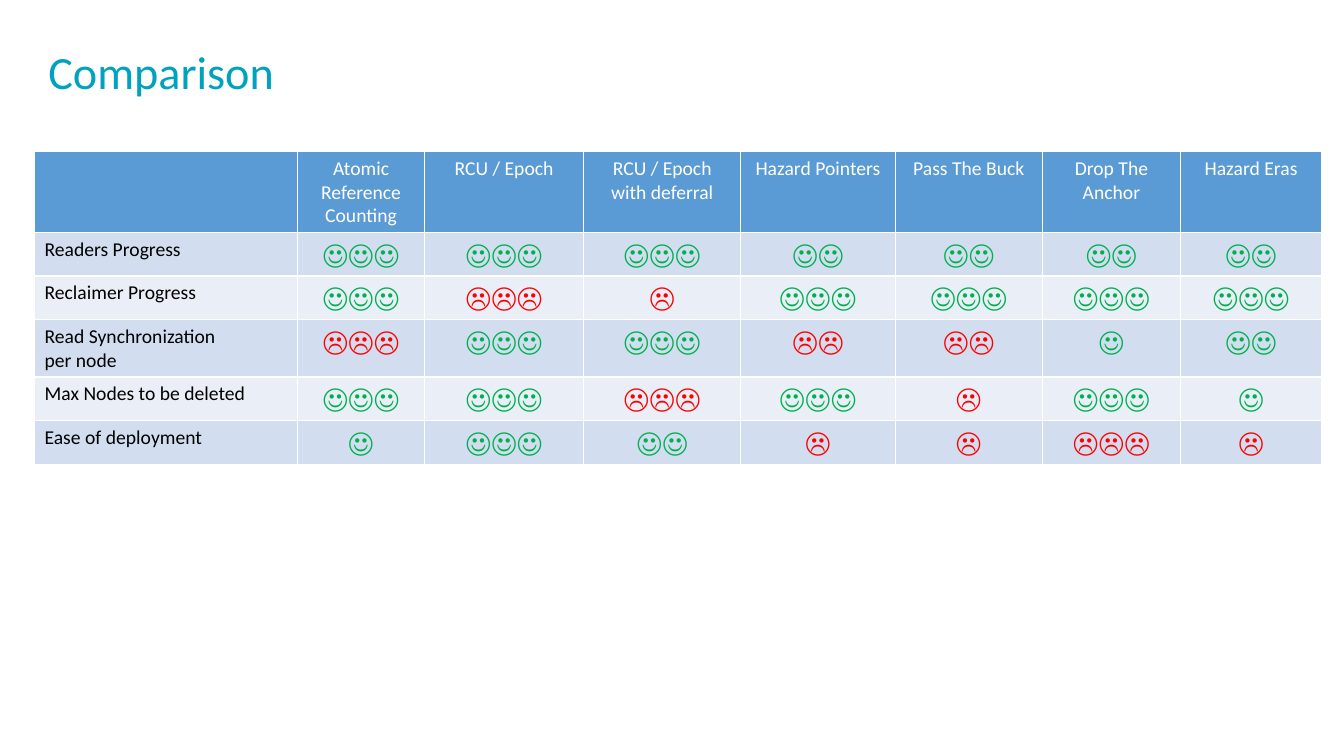
from pptx import Presentation
from pptx.dml.color import RGBColor
from pptx.enum.text import MSO_ANCHOR, PP_ALIGN
from pptx.util import Cm, Pt

# Content
TITLE = "Comparison"
SCHEMES = ["", "Atomic\nReference\nCounting", "RCU / Epoch", "RCU / Epoch\nwith deferral",
           "Hazard Pointers", "Pass The Buck", "Drop The Anchor", "Hazard Eras"]
RATINGS = [
    ("Readers Progress", "☺☺☺", "☺☺☺", "☺☺☺", "☺☺", "☺☺", "☺☺", "☺☺"),
    ("Reclaimer Progress", "☺☺☺", "☹☹☹", "☹", "☺☺☺", "☺☺☺", "☺☺☺", "☺☺☺"),
    ("Read Synchronization\nper node", "☹☹☹", "☺☺☺", "☺☺☺", "☹☹", "☹☹", "☺", "☺☺"),
    ("Max Nodes to be deleted", "☺☺☺", "☺☺☺", "☹☹☹", "☺☺☺", "☹", "☺☺☺", "☺"),
    ("Ease of deployment", "☺", "☺☺☺", "☺☺", "☹", "☹", "☹☹☹", "☹"),
]

# Look
FONT = "Calibri"
TEAL, BLUE, WHITE, BLACK = "00A2BF", "5B9BD5", "FFFFFF", "000000"
GREEN, RED = "00B050", "FF0000"
BANDS = ["D2DEEF", "EAEFF7"]
COLUMN_WIDTHS = [6.63, 3.2, 4.01, 3.96, 3.89, 3.71, 3.48, 3.56]
ROW_HEIGHT = 1.04


def color(hex_string):
    return RGBColor.from_string(hex_string)


def write(frame, text, size, hex_string, align=PP_ALIGN.LEFT):
    frame.text = text
    for paragraph in frame.paragraphs:
        paragraph.alignment = align
        for run in paragraph.runs:
            run.font.name = FONT
            run.font.size = Pt(size)
            run.font.bold = False
            run.font.color.rgb = color(hex_string)


def cell_style(row, column, text):
    """Size, text colour and alignment of one table cell."""
    if row == 0:
        return 14, WHITE, PP_ALIGN.CENTER
    if column == 0:
        return 14, BLACK, PP_ALIGN.LEFT
    return 20, GREEN if "☺" in text else RED, PP_ALIGN.CENTER


def main():
    prs = Presentation()
    prs.slide_width, prs.slide_height = Cm(33.87), Cm(19.05)
    slide = prs.slides.add_slide(prs.slide_layouts[6])

    # Title
    title = slide.shapes.add_textbox(Cm(0.97), Cm(1.12), Cm(32.08), Cm(2.69)).text_frame
    title.word_wrap = True
    title.vertical_anchor = MSO_ANCHOR.TOP
    write(title, TITLE, 33, TEAL)
    title.paragraphs[0].line_spacing = 0.9

    # Comparison table
    rows = [SCHEMES, *RATINGS]
    comparison = slide.shapes.add_table(
        len(rows), len(SCHEMES), Cm(0.87), Cm(3.82),
        Cm(sum(COLUMN_WIDTHS)), Cm(ROW_HEIGHT * len(rows))).table
    for column, width in zip(comparison.columns, COLUMN_WIDTHS):
        column.width = Cm(width)
    for r, texts in enumerate(rows):
        comparison.rows[r].height = Cm(ROW_HEIGHT)
        for c, text in enumerate(texts):
            cell = comparison.cell(r, c)
            cell.fill.solid()
            cell.fill.fore_color.rgb = color(BANDS[(r - 1) % 2] if r else BLUE)
            write(cell.text_frame, text, *cell_style(r, c, text))

    prs.save("out.pptx")


if __name__ == "__main__":
    main()
